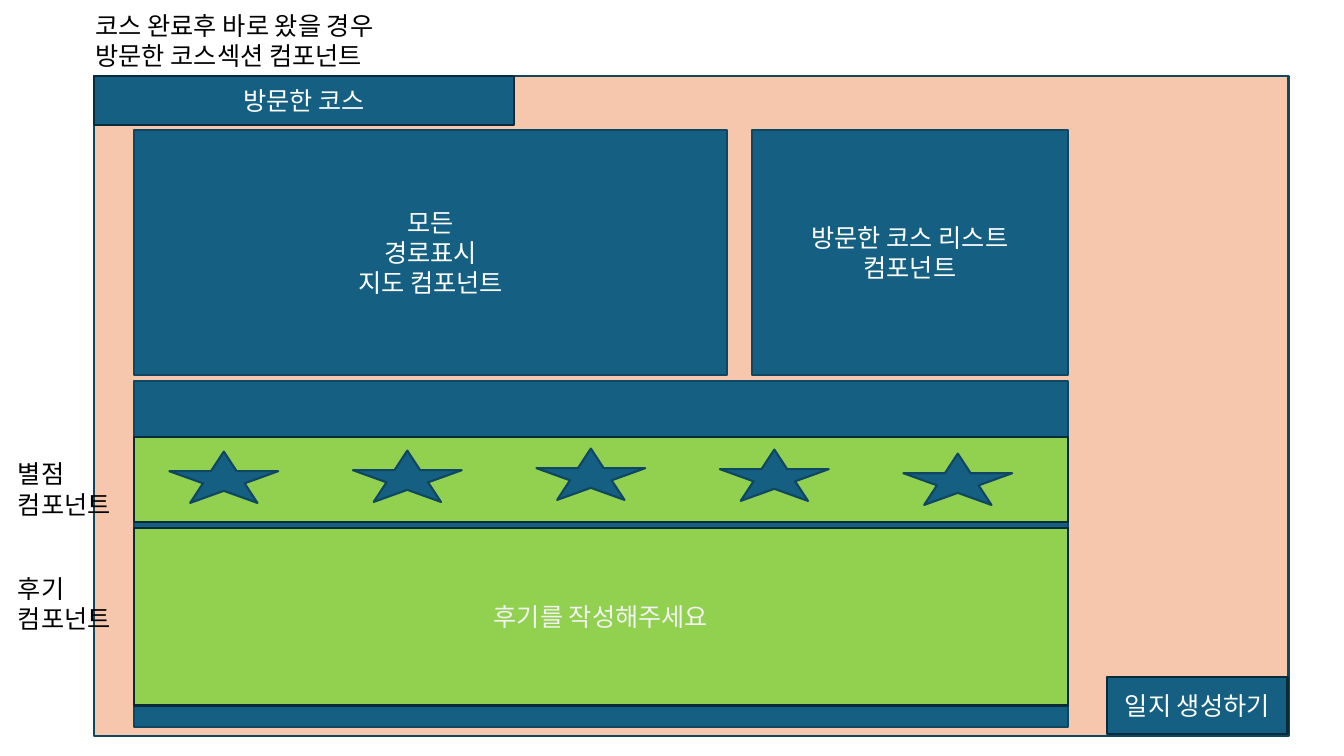
"""Builds the wireframe slide of the visited-course section."""
from lxml.etree import SubElement
from pptx import Presentation
from pptx.dml.color import RGBColor
from pptx.enum.shapes import MSO_SHAPE as Form
from pptx.enum.text import MSO_ANCHOR as Anchor, MSO_AUTO_SIZE as Fit, PP_ALIGN as Align
from pptx.oxml.ns import qn
from pptx.util import Emu, Pt

PX = 9144
FONT = "Noto Sans CJK KR"
PEACH = RGBColor(0xF6, 0xC6, 0xAD)
BLUE = RGBColor(0x15, 0x60, 0x82)
GREEN = RGBColor(0x92, 0xD0, 0x50)
EDGE = RGBColor(0x10, 0x47, 0x60)
DARK = RGBColor(0x09, 0x2A, 0x39)
WHITE = RGBColor(0xFF, 0xFF, 0xFF)
PALE = RGBColor(0xF2, 0xF2, 0xF2)
BLACK = RGBColor(0, 0, 0)


def scale(*sizes):
    return [Emu(size * PX) for size in sizes]


def write(frame, texts, color, align):
    for i, text in enumerate(texts):
        para = frame.add_paragraph() if i else frame.paragraphs[0]
        para.text = text
        para.alignment = align
        font = para.font
        font.size = Pt(18)
        font.color.rgb = color
        font.name = FONT
        props = para._p.get_or_add_pPr().get_or_add_defRPr()
        SubElement(props, qn("a:ea"), typeface=FONT)


def draw(slide, box, fill=BLUE, edge=EDGE, texts=(), color=WHITE, form=Form.RECTANGLE):
    shape = slide.shapes.add_shape(form, *scale(*box))
    shape.shadow.inherit = False
    shape.fill.solid()
    shape.fill.fore_color.rgb = fill
    shape.line.color.rgb = edge
    shape.line.width = Pt(1.5)
    shape.text_frame.vertical_anchor = Anchor.MIDDLE
    write(shape.text_frame, texts, color, Align.CENTER)


def label(slide, box, texts, wrap=True):
    frame = slide.shapes.add_textbox(*scale(*box)).text_frame
    frame.word_wrap = wrap
    frame.auto_size = Fit.SHAPE_TO_FIT_TEXT
    write(frame, texts, BLACK, Align.LEFT)


def main():
    deck = Presentation()
    deck.slide_width, deck.slide_height = scale(1333, 750)
    slide = deck.slides.add_slide(deck.slide_layouts[6])

    draw(slide, (93, 75, 1185, 655), PEACH)
    draw(slide, (133, 129, 588, 243), texts=["모든", "경로표시\n지도 컴포넌트"])
    draw(slide, (133, 378, 926, 343))
    draw(slide, (746, 129, 313, 243), texts=["방문한 코스 리스트\n컴포넌트"])
    draw(slide, (1098, 672, 179, 56), edge=DARK, texts=["일지 생성하기"])
    draw(slide, (93, 75, 417, 49), edge=DARK, texts=["방문한 코스"])
    draw(slide, (133, 434, 926, 84), GREEN, DARK)
    draw(slide, (133, 524, 926, 176), GREEN, DARK, ["후기를 작성해주세요"], PALE)

    for i, top in enumerate((448, 447, 445, 446, 450)):
        draw(slide, (168 + 182 * i, top, 108, 51), form=Form.STAR_5_POINT)

    label(slide, (85, 5, 334, 40), ["코스 완료후 바로 왔을 경우"], False)
    label(slide, (85, 35, 316, 40), ["방문한 코스섹션 컴포넌트"], False)
    label(slide, (8, 450, 124, 71), ["별점", "컴포넌트"])
    label(slide, (8, 564, 124, 71), ["후기", "컴포넌트"])

    deck.save("out.pptx")


if __name__ == "__main__":
    main()
